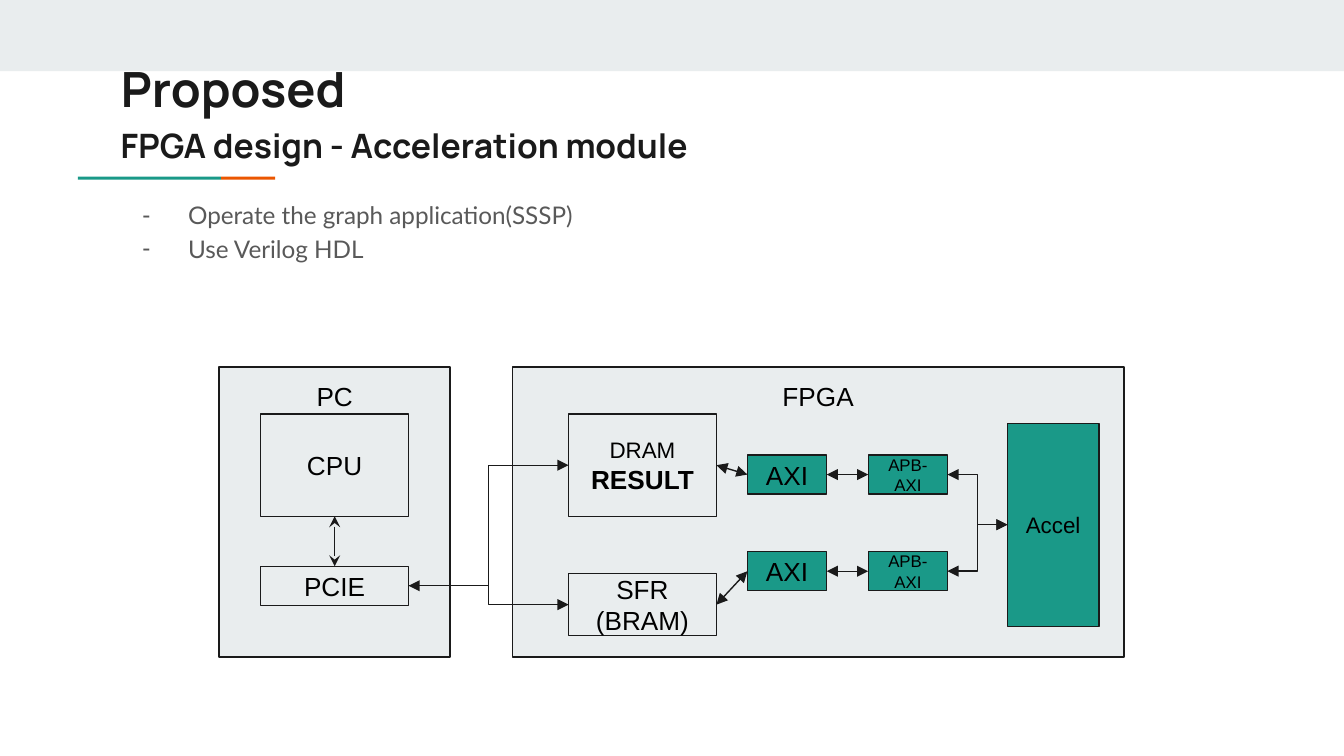
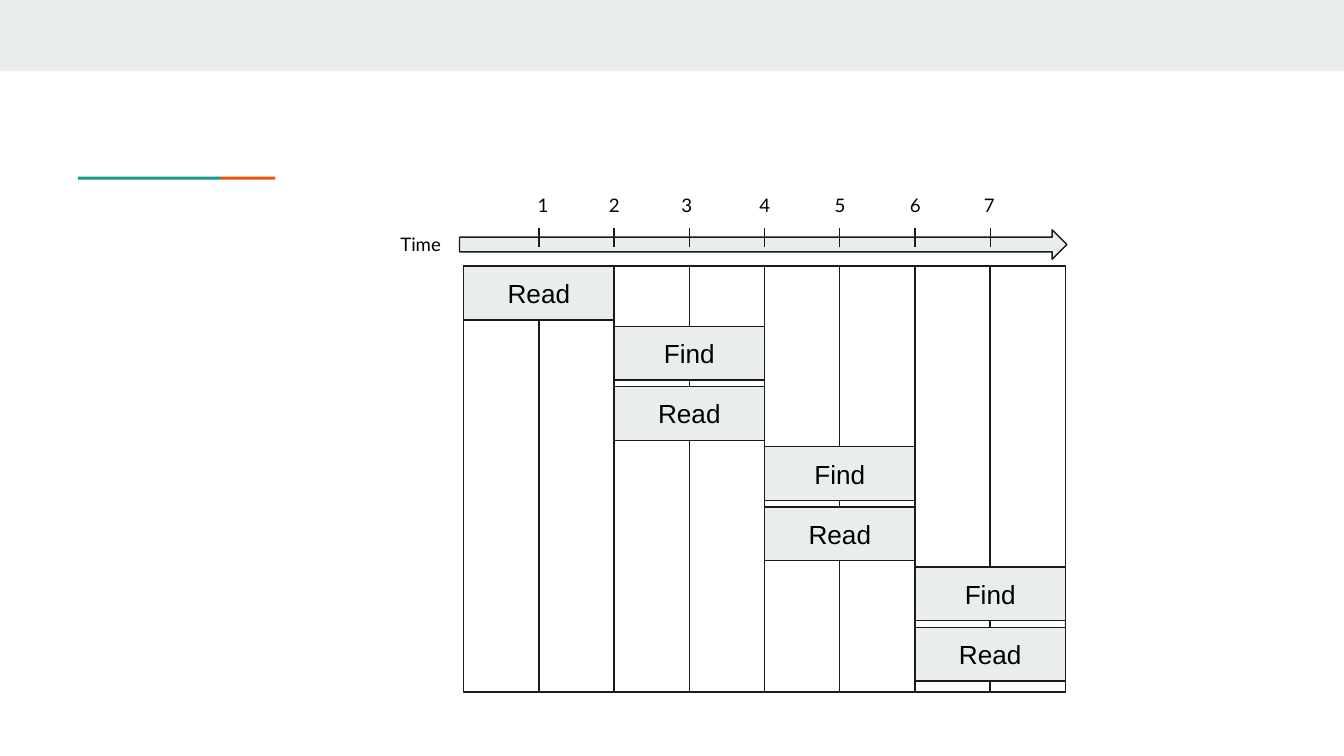
from lxml.etree import SubElement
from pptx import Presentation
from pptx.dml.color import RGBColor
from pptx.enum.shapes import MSO_CONNECTOR, MSO_SHAPE
from pptx.enum.text import MSO_ANCHOR, MSO_AUTO_SIZE, PP_ALIGN
from pptx.oxml.ns import qn
from pptx.util import Pt

COLORS = {
    "ink": "1A1A1A",
    "body": "595959",
    "label": "000000",
    "panel": "E9EDEE",
    "teal": "1A9988",
    "orange": "EB5600",
    "white": "FFFFFF",
}
TOP, LEFT, BOTTOM, RIGHT = range(4)
TITLE_ONLY, TITLE_AND_BODY, BLANK = 5, 1, 6


def rgb(color):
    """Return the named colour."""
    return RGBColor.from_string(COLORS[color])


def write(frame, lines, size=14, font="Arial", color="label", bold=False,
          align=PP_ALIGN.CENTER, anchor=MSO_ANCHOR.TOP, spacing=None, bullet=None):
    """Fill a text frame with lines, each a string or a (string, size, bold) tuple."""
    frame.word_wrap = True
    frame.auto_size = MSO_AUTO_SIZE.NONE
    frame.vertical_anchor = anchor
    frame.margin_left = frame.margin_right = Pt(7.2)
    frame.margin_top = frame.margin_bottom = Pt(7.2)
    for index, line in enumerate(lines):
        words, line_size, line_bold = (line, size, bold) if isinstance(line, str) else line
        paragraph = frame.add_paragraph() if index else frame.paragraphs[0]
        paragraph.alignment = align
        paragraph.space_before = Pt(0)
        if spacing:
            paragraph.line_spacing = spacing
        if bullet:
            properties = paragraph.alignment is not None and paragraph._p.get_or_add_pPr()
            properties.set("marL", str(Pt(36)))
            properties.set("indent", str(Pt(-24.5)))
            bullet_color = SubElement(properties, qn("a:buClr"))
            SubElement(bullet_color, qn("a:srgbClr"), val=COLORS[color])
            SubElement(properties, qn("a:buChar"), char=bullet)
        run = paragraph.add_run()
        run.text = words
        run.font.name = font
        run.font.size = Pt(line_size)
        run.font.bold = line_bold
        run.font.color.rgb = rgb(color)


class Deck:
    """Holds the shared style and the current slide."""

    def __init__(self):
        """Open a widescreen presentation."""
        self.deck = Presentation()
        self.deck.slide_width, self.deck.slide_height = Pt(720), Pt(405)
        self.slide = None

    def start(self, layout):
        """Add a slide and dress the master when it is the first."""
        first = self.slide is None
        self.slide = self.deck.slides.add_slide(self.deck.slide_layouts[layout])
        if first:
            self.dress_master()

    def dress_master(self):
        """Put the top band and the two-colour rule on the master."""
        master = self.deck.slide_master.shapes.element
        parts = (
            ((0, 0, 720, 38.2), "panel"),
            ((41.8, 94.7, 76.6, 1.6), "teal"),
            ((118.4, 94.7, 29, 1.6), "orange"),
        )
        for number, (place, fill) in enumerate(parts, 101):
            part = self.box(place, fill=fill, line=None).element
            part.nvSpPr.cNvPr.set("id", str(number))
            master.append(part)

    def box(self, place, lines=(), fill="panel", line="ink", kind=MSO_SHAPE.RECTANGLE,
            anchor=MSO_ANCHOR.MIDDLE, **style):
        """Draw a filled shape with optional text."""
        shape = self.slide.shapes.add_shape(kind, *map(Pt, place))
        shape.shadow.inherit = False
        shape.fill.solid()
        shape.fill.fore_color.rgb = rgb(fill)
        if line:
            shape.line.color.rgb = rgb(line)
            shape.line.width = Pt(0.75)
        else:
            shape.line.fill.background()
        if lines:
            write(shape.text_frame, lines, anchor=anchor, **style)
        return shape

    def label(self, place, text, **style):
        """Add a text box."""
        write(self.slide.shapes.add_textbox(*map(Pt, place)).text_frame, [text], **style)

    def fill_placeholder(self, index, place, lines, **style):
        """Move a placeholder of the template and write in it."""
        holder = self.slide.placeholders[index]
        holder.left, holder.top, holder.width, holder.height = map(Pt, place)
        write(holder.text_frame, lines, **style)

    def line(self, ends=(0, 0, 0, 0), kind=MSO_CONNECTOR.STRAIGHT, head=None, tail=None):
        """Draw a thin connector with optional arrowheads."""
        line = self.slide.shapes.add_connector(kind, *map(Pt, ends))
        line.line.color.rgb = rgb("ink")
        line.line.width = Pt(0.75)
        SubElement(line.element.spPr, qn("a:effectLst"))
        outline = line.line._get_or_add_ln()
        for tag, arrow in (("a:headEnd", head), ("a:tailEnd", tail)):
            if arrow:
                SubElement(outline, qn(tag), type=arrow)
        return line

    def join(self, source, target, sides=(RIGHT, LEFT), bent=False,
             head="triangle", tail="triangle"):
        """Connect the sides of two boxes with an arrow."""
        kind = MSO_CONNECTOR.ELBOW if bent else MSO_CONNECTOR.STRAIGHT
        link = self.line(kind=kind, head=head, tail=tail)
        link.begin_connect(source, sides[0])
        link.end_connect(target, sides[1])


def acceleration_module(deck):
    """Build the block diagram of the acceleration module."""
    deck.start(TITLE_AND_BODY)
    heading = dict(font="Manrope", color="ink", bold=True, align=PP_ALIGN.LEFT)
    deck.fill_placeholder(1, (57.6, 97.9, 605.5, 177.8),
                          ["Operate the graph application(SSSP)", "Use Verilog HDL"],
                          size=13, font="Lato", color="body", align=PP_ALIGN.LEFT,
                          spacing=1.15, bullet="-")
    deck.fill_placeholder(0, (57.6, 24.5, 605.5, 44.6), ["Proposed"], size=26, **heading)
    deck.label((57.6, 59.8, 605.5, 50.4), "FPGA design - Acceleration module",
               size=18, **heading)

    deck.box((117.4, 196.6, 123.8, 155.5), ["PC"], anchor=MSO_ANCHOR.TOP)
    cpu = deck.box((139.7, 221.9, 79.2, 54.7), ["CPU"])
    pcie = deck.box((139.7, 303.4, 79.2, 20.9), ["PCIE"])
    deck.box((274.5, 196.6, 327.6, 155.5), ["FPGA"], anchor=MSO_ANCHOR.TOP)
    dram = deck.box((304.6, 221.9, 79.2, 54.7), [("DRAM", 12, False), ("RESULT", 14, True)])
    sfr = deck.box((304.6, 307.4, 79.2, 33.1), ["SFR", "(BRAM)"])
    accel = deck.box((539.7, 226.8, 49, 108.7), ["Accel"], fill="teal", size=12)

    deck.join(pcie, dram, bent=True, head=None)
    deck.join(pcie, sfr, bent=True)
    deck.join(cpu, pcie, sides=(BOTTOM, TOP), head="stealth", tail="stealth")
    for memory, top in ((dram, 243.8), (sfr, 295.6)):
        axi = deck.box((400.4, top, 42.5, 20.9), ["AXI"], fill="teal")
        bridge = deck.box((465.1, top, 42.5, 20.9), ["APB-AXI"], fill="teal", size=9)
        deck.join(memory, axi)
        deck.join(axi, bridge)
        deck.join(bridge, accel, bent=True)


def pipeline_timeline(deck):
    """Build the timeline of overlapping read and find steps."""
    deck.start(BLANK)
    left, top, column, height = 248.4, 142.6, 40.3, 228.2
    deck.box((left, top, 7 * column, height), fill="white")
    for index in (1, 3, 5, 7):
        deck.box((left + index * column, top, column, height), fill="white")
    for row in range(7):
        step = "Find" if row % 2 else "Read"
        stage = (row + 1) // 2
        deck.box((left + stage * 2 * column, top + row * 32.25, 2 * column, 28.8), [step])

    deck.box((246.2, 123.1, 325.4, 15.8), kind=MSO_SHAPE.RIGHT_ARROW)
    deck.label((195.1, 117.4, 60.5, 28.8), "Time", size=10, font="Lato")
    number_lefts = (273.6, 311.8, 350.6, 392.4, 432.7, 473, 512.6)
    for number, number_left in enumerate(number_lefts, 1):
        tick = left + number * column
        deck.line((tick, 121.9, tick, 132.5))
        deck.label((number_left, 96.5, 34.6, 23.8), str(number), size=10, font="Lato")


def main():
    """Build both slides and save them."""
    deck = Deck()
    acceleration_module(deck)
    pipeline_timeline(deck)
    deck.deck.save("out.pptx")


if __name__ == "__main__":
    main()
